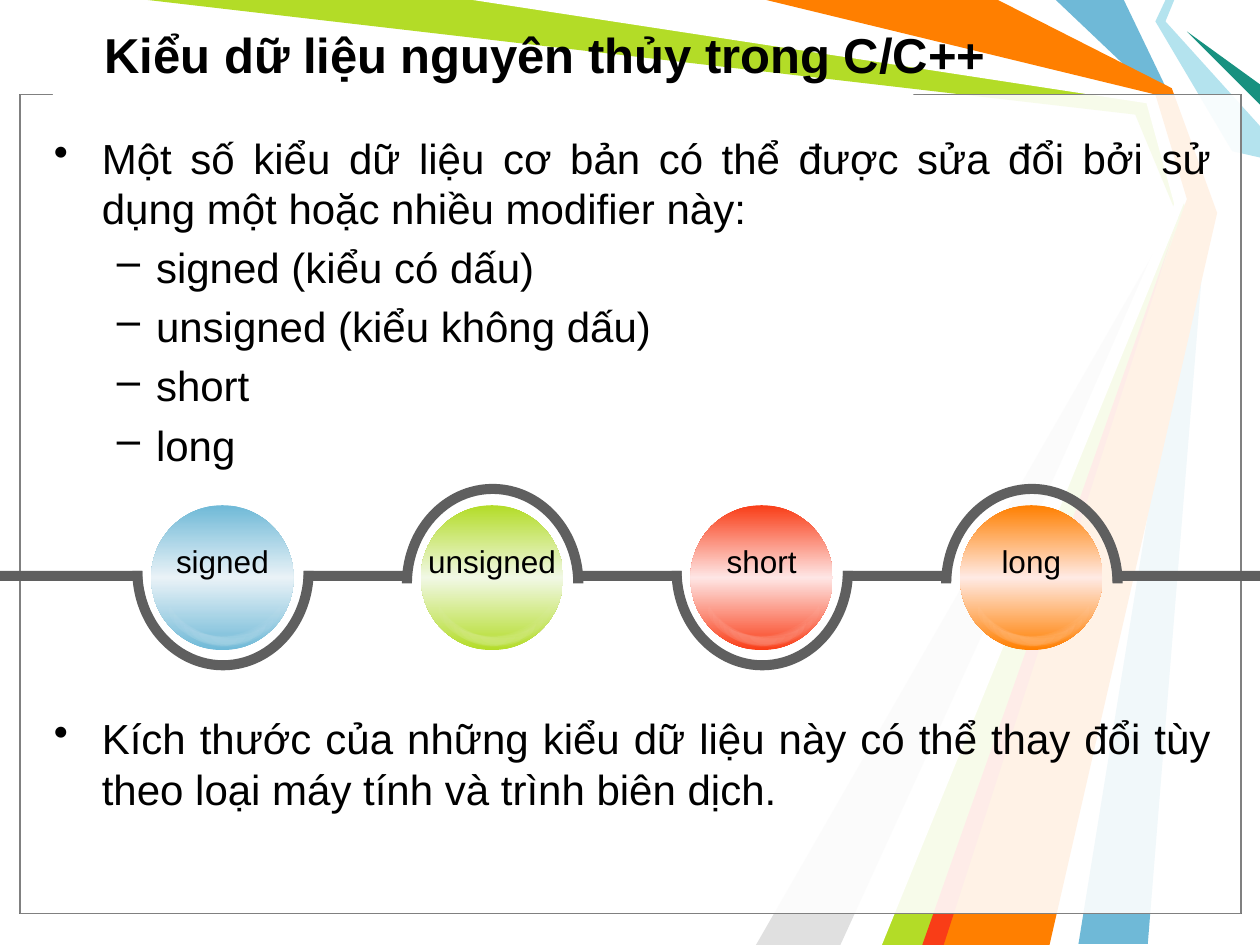
import copy
import dataclasses

import pptx
import pptx.dml.color
import pptx.enum.shapes
import pptx.enum.text
import pptx.oxml
import pptx.oxml.ns
import pptx.util

Inches = pptx.util.Inches
Pt = pptx.util.Pt
Kind = pptx.enum.shapes.MSO_SHAPE
Align = pptx.enum.text.PP_ALIGN


@dataclasses.dataclass(frozen=True)
class Theme:
    font: str = "Arial"
    title: int = 28
    body: int = 24
    label: int = 18
    black: str = "000000"
    white: str = "FFFFFF"
    blue: str = "6FB9D7"
    green: str = "B3DC27"
    red: str = "F93D17"
    orange: str = "FF7F00"
    silver: str = "E0E0E0"
    aqua: str = "B4E3EE"
    teal: str = "189180"
    border: str = "808080"
    track: str = "5F5F5F"


THEME = Theme()

RAYS = [
    (THEME.blue, [(8.92, 0), (9.29, 0.77), (9.58, 1.67), (9.11, 7.49), (8.56, 7.49),
                  (9.5, 1.67), (9.17, 0.75), (8.38, 0)]),
    (THEME.green, [(1.17, 0), (3.83, 0), (9.14, 0.78), (9.42, 1.69), (7.42, 7.5),
                   (6.92, 7.5), (9.35, 1.73), (9.01, 0.91)]),
    (THEME.silver, [(6.67, 7.5), (9.27, 1.81), (6, 7.5)]),
    (THEME.white, [(3.75, 0), (9.1, 0.82), (9.32, 1.62), (6.75, 7.5), (7, 7.5),
                   (9.41, 1.58), (9.17, 0.75), (6, 0)]),
    (THEME.aqua, [(9.25, 0), (9.17, 0.17), (9.78, 1.2), (10, 1.25), (10, 1),
                  (9.25, 0.17), (9.32, 0)]),
    (THEME.teal, [(10, 0.83), (9.42, 0.25), (10, 0.67)]),
    (THEME.orange, [(6.08, 0), (7.92, 0), (9.3, 0.7), (9.66, 1.69), (8.33, 7.5),
                    (7.33, 7.5), (9.42, 1.58), (9.17, 0.75)]),
    (THEME.red, [(7.32, 7.5), (9.32, 1.83), (7.49, 7.5)]),
]

# Left and top within a ball, then rotation
GLINTS = [(0.7, 0.69, 66.1), (0.61, 0.73, 79.7), (0.55, 0.73, 84.6), (0.48, 0.74, 93.5),
          (0.53, 0.74, 88.7), (0.43, 0.74, 102.2), (0.37, 0.72, 107.2), (0.31, 0.7, 116)]

# Label, edge colour, middle colour
BALLS = [("signed", THEME.blue, "E9F2F7"), ("unsigned", THEME.green, "F1F8E5"),
         ("short", THEME.red, "FEE6E5"), ("long", THEME.orange, "FFEAE4")]

# Text, level, points of space before
POINTS = [
    ("Một số kiểu dữ liệu cơ bản có thể được sửa đổi bởi sử dụng một hoặc nhiều modifier này:", 0, 0),
    ("signed (kiểu có dấu)", 1, 5),
    ("unsigned (kiểu không dấu)", 1, 5),
    ("short", 1, 5),
    ("long", 1, 5),
    ("Kích thước của những kiểu dữ liệu này có thể thay đổi tùy theo loại máy tính và trình biên dịch.", 0, 139),
]
# Bullet, left margin, hanging indent for each level
LEVELS = [("•", 0.38, -0.38), ("–", 0.81, -0.31)]


def color(code):
    return pptx.dml.color.RGBColor.from_string(code)


def paint(shape, code, alpha=None):
    """Give a flat fill, with alpha as percent of opacity, and no line."""
    shape.shadow.inherit = False
    shape.line.fill.background()
    shape.fill.solid()
    shape.fill.fore_color.rgb = color(code)
    if alpha is not None:
        tone = shape.element.spPr.find(".//" + pptx.oxml.ns.qn("a:srgbClr"))
        pptx.oxml.ns.qn("a:alpha")
        node = pptx.oxml.parse_xml(
            f'<a:alpha {pptx.oxml.ns.nsdecls("a")} val="{alpha * 1000}"/>')
        tone.append(node)


def add_form(slide, kind, box, code, alpha=None):
    shape = slide.shapes.add_shape(kind, *map(Inches, box))
    paint(shape, code, alpha)
    return shape


def write(para, text, size, bold=False):
    run = para.add_run()
    run.text = text
    run.font.name = THEME.font
    run.font.size = Pt(size)
    run.font.bold = bold
    run.font.color.rgb = color(THEME.black)


def add_rays(slide, left, top):
    for code, points in RAYS:
        spots = [(Inches(left + x), Inches(top + y)) for x, y in points]
        maker = slide.shapes.build_freeform(*spots[0])
        maker.add_line_segments(spots[1:], close=True)
        paint(maker.convert_to_shape(), code)


def add_panel(slide, box):
    """Place the two translucent sheets and the gap in their top edge."""
    for edge in (THEME.black, THEME.border):
        sheet = add_form(slide, Kind.RECTANGLE, box, THEME.white, 69)
        sheet.line.color.rgb = color(edge)
        sheet.line.width = Pt(0.75)
    left, top = box[:2]
    add_form(slide, Kind.RECTANGLE, (left + 0.26, top - 0.01, 6.83, 0.17), THEME.white)


def set_title(slide, box, text):
    title = slide.shapes.title
    title.left, title.top, title.width, title.height = map(Inches, box)
    frame = title.text_frame
    frame.auto_size = pptx.enum.text.MSO_AUTO_SIZE.NONE
    frame.vertical_anchor = pptx.enum.text.MSO_ANCHOR.MIDDLE
    para = frame.paragraphs[0]
    para.alignment = Align.LEFT
    write(para, text, THEME.title, True)
    title.element.getparent().append(title.element)  # in front of the rays


def add_body(slide, box):
    frame = slide.shapes.add_textbox(*map(Inches, box)).text_frame
    frame.word_wrap = True
    for index, (text, level, space) in enumerate(POINTS):
        para = frame.add_paragraph() if index else frame.paragraphs[0]
        mark, margin, indent = LEVELS[level]
        props = para._p.get_or_add_pPr()
        props.set("marL", str(Inches(margin)))
        props.set("indent", str(Inches(indent)))
        props.append(pptx.oxml.parse_xml(
            f'<a:buChar {pptx.oxml.ns.nsdecls("a")} char="{mark}"/>'))
        para.level = level
        para.alignment = Align.JUSTIFY
        para.space_before = Pt(space)
        write(para, text, THEME.body)


def add_ball(slide, left, top, edge, middle):
    ball = add_form(slide, Kind.OVAL, (left, top, 1.13, 1.15), edge)
    ball.fill.gradient()
    ball.fill.gradient_angle = 90
    stops = ball.element.spPr.find(".//" + pptx.oxml.ns.qn("a:gsLst"))
    stops.append(copy.deepcopy(stops[0]))
    for stop, place, code in zip(ball.fill.gradient_stops, (0, 0.5, 1), (edge, middle, edge)):
        stop.position = place
        stop.color.rgb = color(code)
    for x, y, angle in GLINTS:
        moon = add_form(slide, Kind.MOON, (left + x, top + y, 0.15, 0.6), THEME.white, 4)
        moon.adjustments[0] = 0.5
        moon.rotation = angle + 180


def add_label(slide, box, text):
    frame = slide.shapes.add_textbox(*map(Inches, box)).text_frame
    frame.word_wrap = True
    para = frame.paragraphs[0]
    para.alignment = Align.CENTER
    write(para, text, THEME.label)


def add_chain(slide, box):
    """Place the balls, their labels, and the track that winds around them."""
    left, top, width, height = box
    step, arc, thick = 2.14, 1.44, 0.08
    starts = [left + 1.05 + step * i for i in range(len(BALLS))]
    for x, (text, edge, middle) in zip(starts, BALLS):
        add_ball(slide, x + 0.15, top + 0.27, edge, middle)
    for x, ball in zip(starts, BALLS):
        add_label(slide, (x + 0.09, top + 0.51, 1.25, 0.4), ball[0])
    begins = [left] + [x + arc - thick for x in starts]
    ends = [x + thick for x in starts] + [left + width]
    for begin, end in zip(begins, ends):
        add_form(slide, Kind.RECTANGLE, (begin, top + 0.79, end - begin, thick), THEME.track)
    for index, x in enumerate(starts):
        above = index % 2
        y = top + 0.1 * above
        bend = add_form(slide, Kind.BLOCK_ARC, (x, y, arc, height - 0.1), THEME.track)
        # Angles are in 60000ths of a degree, scaled by 100000: 108 is 180 degrees
        bend.adjustments[0] = 108 if above else 0
        bend.adjustments[1] = 0 if above else 108
        bend.adjustments[2] = thick / arc


def main():
    deck = pptx.Presentation()
    deck.slide_width, deck.slide_height = Inches(10), Inches(7.5)
    slide = deck.slides.add_slide(deck.slide_layouts[5])
    add_rays(slide, 0, 0)
    add_panel(slide, (0.16, 0.75, 9.69, 6.5))
    set_title(slide, (0.73, 0.08, 9.11, 0.69), "Kiểu dữ liệu nguyên thủy trong C/C++")
    add_body(slide, (0.33, 1, 9.38, 6.17))
    add_chain(slide, (0, 3.74, 10, 1.68))
    deck.save("out.pptx")


if __name__ == "__main__":
    main()
